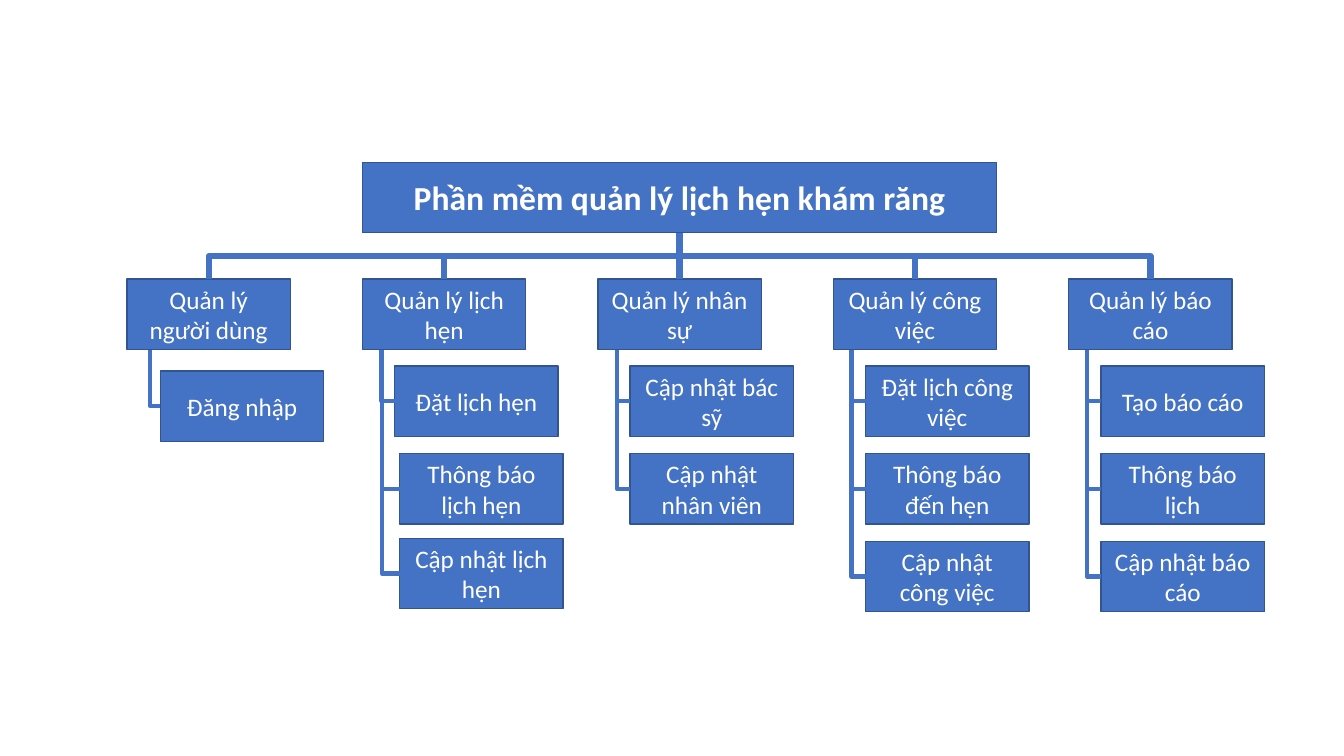
from dataclasses import dataclass

from lxml.etree import SubElement
from pptx import Presentation
from pptx.dml.color import RGBColor
from pptx.enum.shapes import MSO_CONNECTOR as Connector, MSO_SHAPE as Shape
from pptx.enum.text import MSO_ANCHOR as Anchor, PP_ALIGN as Align
from pptx.oxml.ns import qn
from pptx.util import Inches, Pt

BLUE = RGBColor(0x44, 0x72, 0xC4)
NAVY = RGBColor(0x32, 0x54, 0x91)
WHITE = RGBColor(0xFF, 0xFF, 0xFF)

LEFT, COLUMN = 1.26, 2.335
BOX_WIDTH, BOX_HEIGHT = 1.62, 0.7
ROOT_TOP, BRANCH_TOP = 1.61, 2.77
LEAF_TOP, LEAF_ROW, LEAF_INDENT = 3.63, 0.87, 0.32
TOP_SITE, LEFT_SITE, BOTTOM_SITE = 0, 1, 2


@dataclass
class Leaf:
    title: str
    shift_x: float = 0
    shift_y: float = 0


@dataclass
class Branch:
    title: str
    leaves: list
    trunk: float = 0.18


ROOT_TITLE = "Phần mềm quản lý lịch hẹn khám răng"
BRANCHES = [
    Branch("Quản lý người dùng", [Leaf("Đăng nhập", 0.01, 0.05)], 0.23),
    Branch("Quản lý lịch hẹn", [
        Leaf("Đặt lịch hẹn"),
        Leaf("Thông báo lịch hẹn", 0.05),
        Leaf("Cập nhật lịch hẹn", 0.05, -0.03),
    ], 0.19),
    Branch("Quản lý nhân sự", [Leaf("Cập nhật bác sỹ"), Leaf("Cập nhật nhân viên")], 0.19),
    Branch("Quản lý công việc", [
        Leaf("Đặt lịch công việc"),
        Leaf("Thông báo đến hẹn"),
        Leaf("Cập nhật công việc"),
    ]),
    Branch("Quản lý báo cáo", [
        Leaf("Tạo báo cáo"),
        Leaf("Thông báo lịch"),
        Leaf("Cập nhật báo cáo"),
    ]),
]


def add_box(slide, title, left, top, width=BOX_WIDTH, size=18, bold=False):
    box = slide.shapes.add_shape(
        Shape.RECTANGLE, Inches(left), Inches(top), Inches(width), Inches(BOX_HEIGHT))
    box.shadow.inherit = False
    box.fill.solid()
    box.fill.fore_color.rgb = BLUE
    box.line.color.rgb = NAVY
    box.line.width = Pt(1)
    frame = box.text_frame
    frame.word_wrap = True
    frame.vertical_anchor = Anchor.MIDDLE
    paragraph = frame.paragraphs[0]
    paragraph.text = title
    paragraph.alignment = Align.CENTER
    font = paragraph.font
    font.name, font.size, font.bold = "Calibri", Pt(size), bold
    font.color.rgb = WHITE
    return box


def turn_downward(link, preset):
    run, drop = link.end_x - link.begin_x, link.end_y - link.begin_y
    middle_x = (link.begin_x + link.end_x) // 2
    middle_y = (link.begin_y + link.end_y) // 2
    properties = link._element.spPr
    properties.find(qn("a:prstGeom")).set("prst", preset)
    frame = properties.find(qn("a:xfrm"))
    for flip in ("flipH", "flipV"):
        frame.attrib.pop(flip, None)
    if run < 0:
        frame.set("rot", "5400000")
    else:
        frame.set("rot", "16200000")
        frame.set("flipH", "1")
    link.width, link.height = drop, abs(run)
    link.left, link.top = middle_x - drop // 2, middle_y - abs(run) // 2


def add_link(slide, parent, child, site, weight, preset, trunk=None):
    start_x = parent.left + (parent.width // 2 if trunk is None else Inches(trunk))
    start_y = parent.top + parent.height
    link = slide.shapes.add_connector(Connector.ELBOW, start_x, start_y, start_x, start_y)
    if trunk is None:
        link.begin_connect(parent, BOTTOM_SITE)
    link.end_connect(child, site)
    turn_downward(link, preset)
    link.line.color.rgb = BLUE
    link.line.width = Pt(weight)
    SubElement(link._element.spPr, qn("a:effectLst"))


def add_branch(slide, root, branch, column):
    left = LEFT + column * COLUMN
    head = add_box(slide, branch.title, left, BRANCH_TOP)
    add_link(slide, root, head, TOP_SITE, 4.5, "bentConnector3")
    for row, leaf in enumerate(branch.leaves):
        box = add_box(slide, leaf.title, left + LEAF_INDENT + leaf.shift_x,
                      LEAF_TOP + row * LEAF_ROW + leaf.shift_y)
        add_link(slide, head, box, LEFT_SITE, 3, "bentConnector2", branch.trunk)


def main():
    deck = Presentation()
    deck.slide_width, deck.slide_height = Inches(13.33), Inches(7.5)
    slide = deck.slides.add_slide(deck.slide_layouts[6])
    root = add_box(slide, ROOT_TITLE, LEFT + COLUMN, ROOT_TOP,
                   2 * COLUMN + BOX_WIDTH, size=24, bold=True)
    for column, branch in enumerate(BRANCHES):
        add_branch(slide, root, branch, column)
    deck.save("out.pptx")


main()
